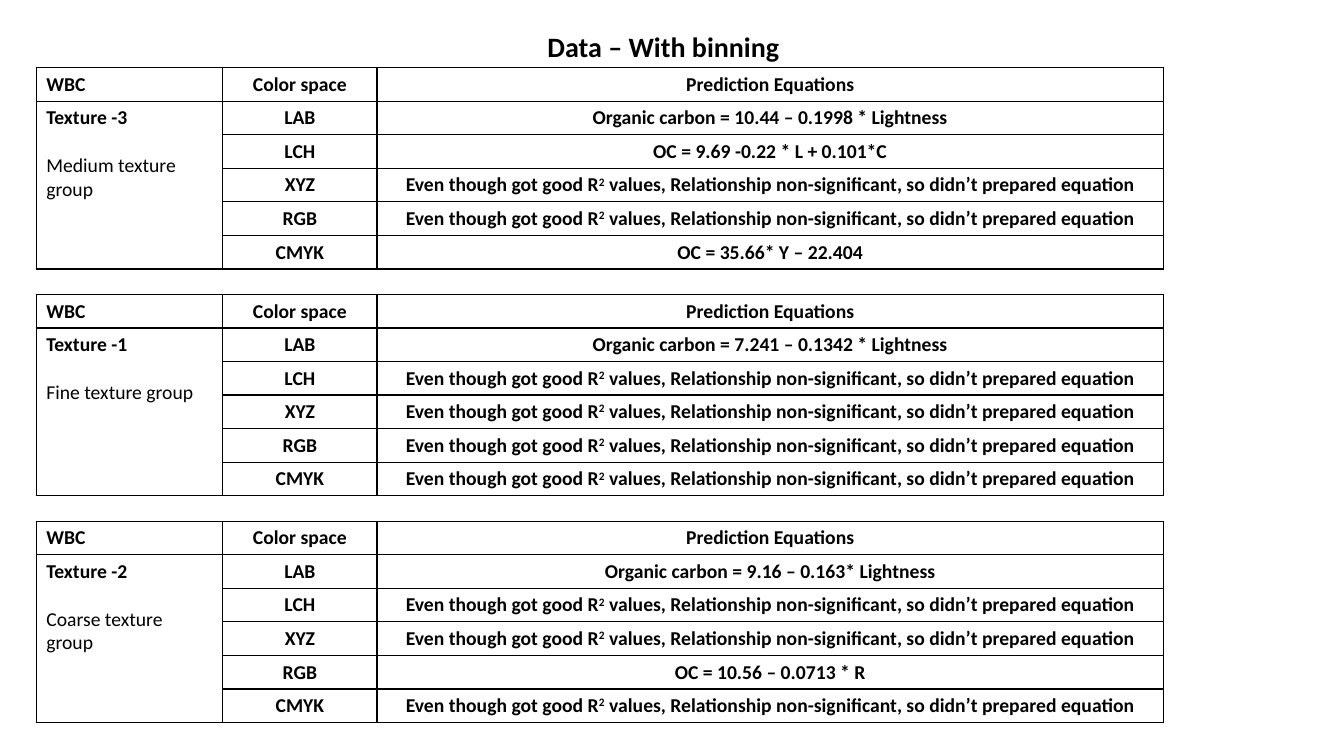
import lxml.etree
import pptx
import pptx.dml.color
import pptx.enum.text
import pptx.oxml.ns
import pptx.util

ROW = 1 / 3
TABLE_ROWS = 6
TABLE_PITCH = 6.75 * ROW
LEFT, TOP = 0.36, 0.67
COLUMNS = (1.85, 1.53, 7.8)
HEADINGS = ("WBC", "Color space", "Prediction Equations")
COLOR_SPACES = ("LAB", "LCH", "XYZ", "RGB", "CMYK")
NOT_SIGNIFICANT = (
    "Even though got good R^2^ values, Relationship non-significant, "
    "so didn’t prepared equation"
)
GROUPS = (
    ("Texture -3", "Medium texture group", {
        "LAB": "Organic carbon = 10.44 – 0.1998 * Lightness",
        "LCH": "OC = 9.69 -0.22 * L + 0.101*C",
        "CMYK": "OC = 35.66* Y – 22.404",
    }),
    ("Texture -1", "Fine texture group", {
        "LAB": "Organic carbon = 7.241 – 0.1342 * Lightness",
    }),
    ("Texture -2", "Coarse texture group", {
        "LAB": "Organic carbon = 9.16 – 0.163* Lightness",
        "RGB": "OC = 10.56 – 0.0713 * R",
    }),
)
LEFT_ALIGNED = pptx.enum.text.PP_ALIGN.LEFT
CENTERED = pptx.enum.text.PP_ALIGN.CENTER


def inches(value):
    return pptx.util.Inches(value)


def color(hex_string):
    return pptx.dml.color.RGBColor.from_string(hex_string)


def format_run(run, size, bold):
    run.font.name = "Calibri"
    run.font.size = pptx.util.Pt(size)
    run.font.bold = bold
    run.font.color.rgb = color("000000")


def write_paragraph(paragraph, text, alignment, size=14, bold=True):
    paragraph.alignment = alignment
    for index, part in enumerate(text.split("^")):
        run = paragraph.add_run()
        run.text = part
        format_run(run, size, bold)
        if index % 2:
            run._r.get_or_add_rPr().set("baseline", "30000")


def format_cell(cell):
    cell.margin_top, cell.margin_bottom = inches(0.05), inches(0.04)
    properties = cell._tc.get_or_add_tcPr()
    for side in ("a:lnL", "a:lnR", "a:lnT", "a:lnB"):
        line = lxml.etree.SubElement(properties, pptx.oxml.ns.qn(side), w="12700")
        fill = lxml.etree.SubElement(line, pptx.oxml.ns.qn("a:solidFill"))
        lxml.etree.SubElement(fill, pptx.oxml.ns.qn("a:srgbClr"), val="000000")
    cell.fill.solid()
    cell.fill.fore_color.rgb = color("FFFFFF")


def write_cell(cell, text, alignment=CENTERED):
    write_paragraph(cell.text_frame.paragraphs[0], text, alignment)


def add_title(slide, text):
    title = slide.shapes.title
    title.left, title.top = inches(4.48), inches(0.24)
    title.width, title.height = inches(4.2), inches(0.44)
    title.text_frame.word_wrap = True
    title.text_frame.auto_size = pptx.enum.text.MSO_AUTO_SIZE.SHAPE_TO_FIT_TEXT
    write_paragraph(title.text_frame.paragraphs[0], text, CENTERED, size=20)


def add_texture_table(slide, top, texture, description, equations):
    table = slide.shapes.add_table(
        TABLE_ROWS, len(COLUMNS), inches(LEFT), inches(top),
        inches(sum(COLUMNS)), inches(TABLE_ROWS * ROW),
    ).table
    table.first_row = table.horz_banding = False
    for column, width in zip(table.columns, COLUMNS):
        column.width = inches(width)
    for row in table.rows:
        row.height = inches(ROW)
        for cell in row.cells:
            format_cell(cell)

    for index, heading in enumerate(HEADINGS):
        write_cell(table.cell(0, index), heading, CENTERED if index else LEFT_ALIGNED)
    for index, space in enumerate(COLOR_SPACES, 1):
        write_cell(table.cell(index, 1), space)
        write_cell(table.cell(index, 2), equations.get(space, NOT_SIGNIFICANT))

    group_cell = table.cell(1, 0)
    group_cell.merge(table.cell(TABLE_ROWS - 1, 0))
    write_cell(group_cell, texture, LEFT_ALIGNED)
    paragraph = group_cell.text_frame.add_paragraph()
    paragraph.space_before = pptx.util.Pt(17)
    write_paragraph(paragraph, description, LEFT_ALIGNED, bold=False)


def main():
    presentation = pptx.Presentation()
    presentation.slide_width = inches(13.33)
    presentation.slide_height = inches(7.5)
    slide = presentation.slides.add_slide(presentation.slide_layouts[5])
    add_title(slide, "Data – With binning")
    for index, group in enumerate(GROUPS):
        add_texture_table(slide, TOP + index * TABLE_PITCH, *group)
    presentation.save("out.pptx")


if __name__ == "__main__":
    main()
